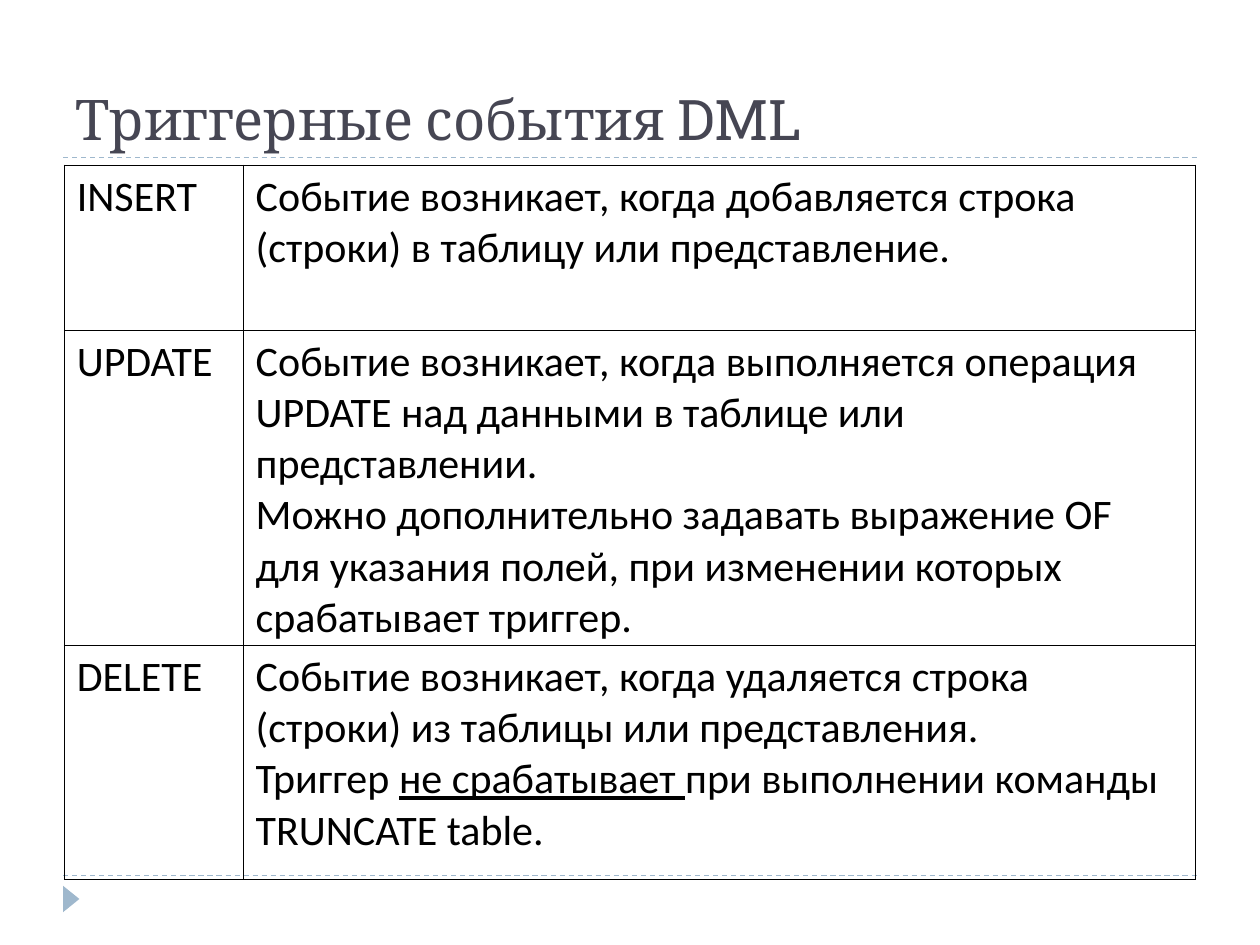
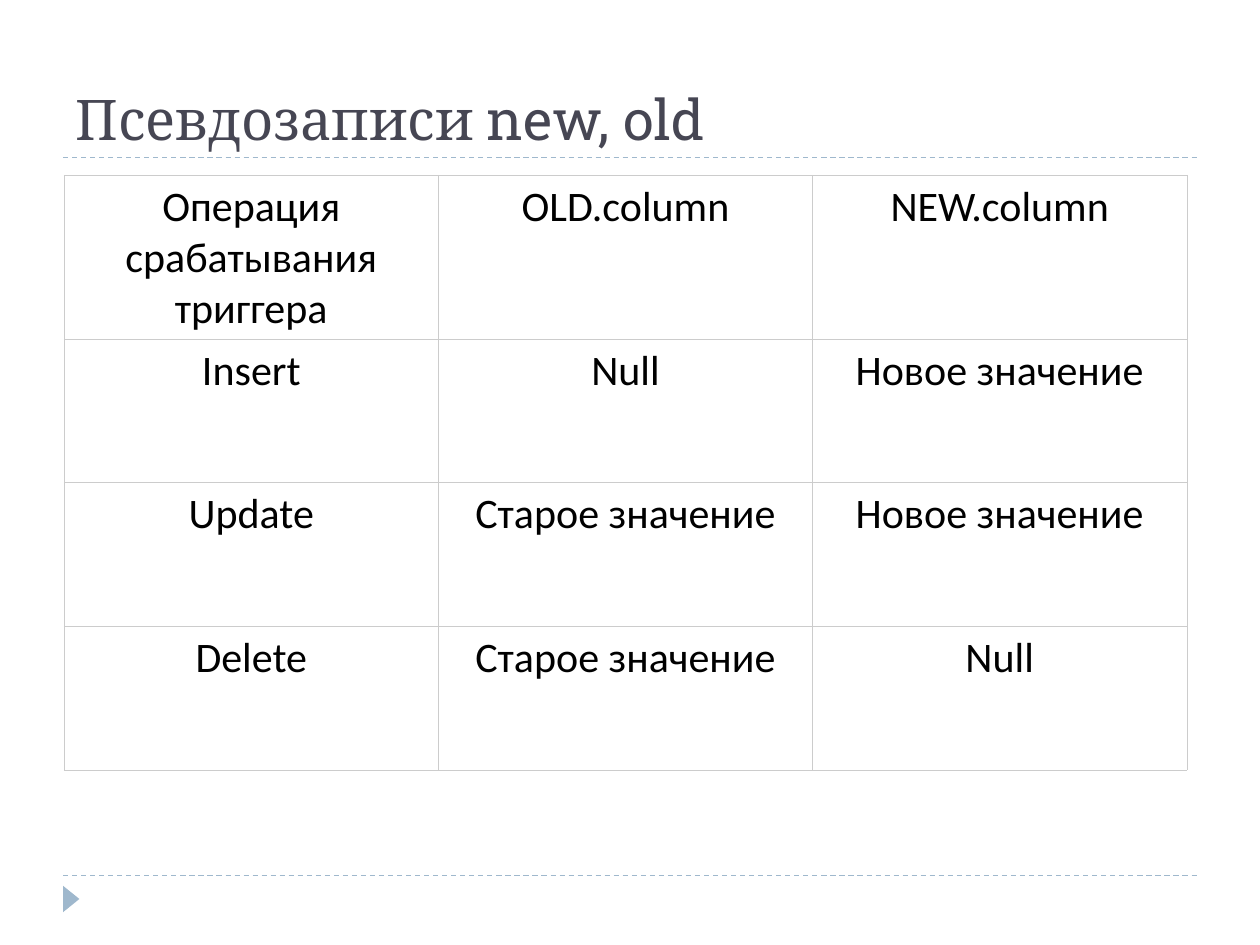
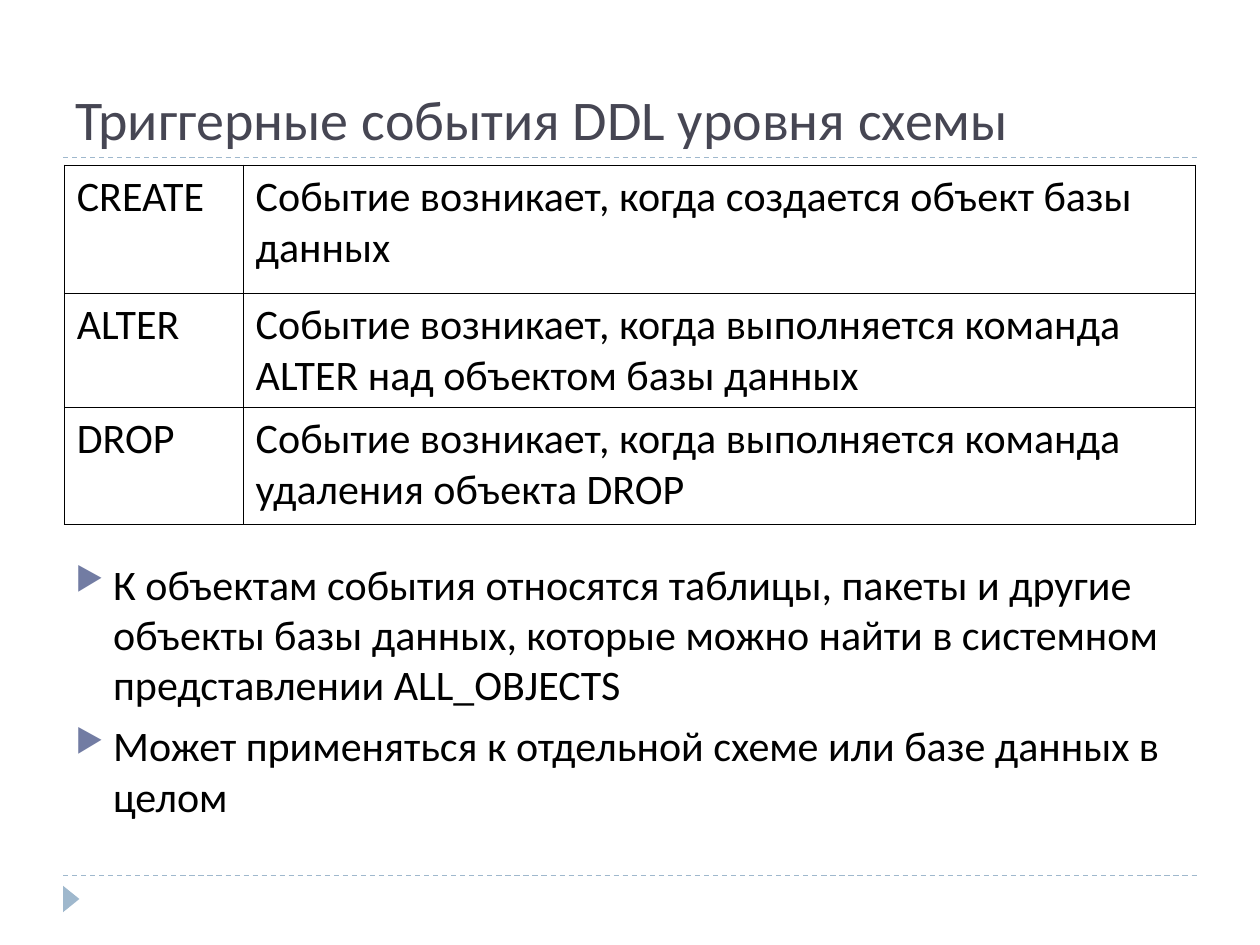
import dataclasses

import lxml.etree
import pptx
import pptx.dml.color
import pptx.enum.dml
import pptx.enum.shapes
import pptx.enum.text
import pptx.oxml.ns
import pptx.util

Inches = pptx.util.Inches
Pt = pptx.util.Pt
Align = pptx.enum.text.PP_ALIGN


@dataclasses.dataclass(frozen=True)
class Theme:
    """Colours, fonts and sizes shared by all slides."""

    title_color: str = "464653"
    text_color: str = "000000"
    accent: str = "9FB8CD"
    bullet_color: str = "727CA3"
    strong_border: str = "000000"
    light_border: str = "CCCCCC"
    cell_fill: str = "FFFFFF"
    title_font: str = "Cambria"
    latin_title_font: str = "Roboto Slab"
    body_font: str = "Calibri"
    title_size: float = 32
    body_size: float = 24
    rule_width: float = 0.75
    strong_width: float = 0.45
    light_width: float = 0.34
    margin: float = 0.5
    content_width: float = 9
    title_bottom: float = 1.25
    footer_top: float = 6.95
    table_left: float = 0.51


THEME = Theme()


def rgb(color):
    """Turn a hex string into a colour."""
    return pptx.dml.color.RGBColor.from_string(color)


def add_xml(parent, tag, **attributes):
    """Append a DrawingML element to its parent."""
    return lxml.etree.SubElement(parent, pptx.oxml.ns.qn(tag), attributes)


def write_paragraph(paragraph, content, font, size, color):
    """Write a string, or (text, font settings) pieces, in one style."""
    paragraph.font.name = font
    paragraph.font.size = Pt(size)
    paragraph.font.color.rgb = rgb(color)
    pieces = [(content, {})] if isinstance(content, str) else content
    for text, settings in pieces:
        run = paragraph.add_run()
        run.text = text
        for name, value in settings.items():
            setattr(run.font, name, value)


def write_body(text_frame, contents):
    """Write body paragraphs into a text frame and return them."""
    for content in contents[1:]:
        text_frame.add_paragraph()
    for paragraph, content in zip(text_frame.paragraphs, contents):
        write_paragraph(paragraph, content, THEME.body_font, THEME.body_size, THEME.text_color)
    return text_frame.paragraphs


def add_text_frame(slide, top, height):
    """Add a wrapping text box across the content width."""
    box = slide.shapes.add_textbox(
        Inches(THEME.margin), Inches(top), Inches(THEME.content_width), Inches(height))
    box.text_frame.word_wrap = True
    return box.text_frame


def add_rule(slide, top):
    """Add a dashed rule across the content width."""
    rule = slide.shapes.add_connector(
        pptx.enum.shapes.MSO_CONNECTOR.STRAIGHT,
        Inches(THEME.margin), Inches(top),
        Inches(THEME.margin + THEME.content_width), Inches(top))
    rule.line.color.rgb = rgb(THEME.accent)
    rule.line.width = Pt(THEME.rule_width)
    rule.line.dash_style = pptx.enum.dml.MSO_LINE.DASH
    add_xml(rule._element.spPr, "a:effectLst")


def add_footer_marker(slide):
    """Add the triangle that points right below the footer rule."""
    marker = slide.shapes.add_shape(
        pptx.enum.shapes.MSO_SHAPE.ISOSCELES_TRIANGLE,
        Inches(0.46), Inches(7.07), Inches(0.21), Inches(0.13))
    marker.rotation = 90
    marker.shadow.inherit = False
    marker.fill.solid()
    marker.fill.fore_color.rgb = rgb(THEME.accent)
    marker.line.fill.background()


def add_titled_slide(presentation, title, title_top=0.6, font=THEME.title_font):
    """Add a slide with its rules, footer marker and title."""
    slide = presentation.slides.add_slide(presentation.slide_layouts[6])
    add_rule(slide, THEME.footer_top)
    add_rule(slide, THEME.title_bottom)
    add_footer_marker(slide)
    frame = add_text_frame(slide, title_top, THEME.title_bottom - title_top)
    frame.vertical_anchor = pptx.enum.text.MSO_ANCHOR.BOTTOM
    write_paragraph(frame.paragraphs[0], title, font, THEME.title_size, THEME.title_color)
    return slide


def set_borders(cell, color, width):
    """Draw all four borders of a cell."""
    properties = cell._tc.get_or_add_tcPr()
    for side in ("a:lnL", "a:lnR", "a:lnT", "a:lnB"):
        line = add_xml(properties, side, w=str(int(Pt(width))))
        add_xml(add_xml(line, "a:solidFill"), "a:srgbClr", val=color)


def add_grid(slide, top, widths, heights, rows, border, alignment=Align.LEFT, fill=None):
    """Add a bordered table whose cells are lists of paragraphs."""
    table = slide.shapes.add_table(
        len(rows), len(widths), Inches(THEME.table_left), Inches(top),
        Inches(sum(widths)), Inches(sum(heights))).table
    table.first_row = False
    table.horz_banding = False
    for column, width in zip(table.columns, widths):
        column.width = Inches(width)
    for row, height, contents in zip(table.rows, heights, rows):
        row.height = Inches(height)
        for cell, paragraphs in zip(row.cells, contents):
            set_borders(cell, *border)
            if fill:
                cell.fill.solid()
                cell.fill.fore_color.rgb = rgb(fill)
            else:
                cell.fill.background()
            for paragraph in write_body(cell.text_frame, paragraphs):
                paragraph.alignment = alignment


def add_event_table(slide, heights, events):
    """Add a table of event names and their descriptions."""
    rows = [([name], description) for name, *description in events]
    add_grid(slide, 1.31, (1.42, 7.56), heights, rows,
             (THEME.strong_border, THEME.strong_width))


def add_bullets(slide, top, height, items):
    """Add a list with triangular bullets."""
    for paragraph in write_body(add_text_frame(slide, top, height), items):
        paragraph.space_before = Pt(6)
        properties = paragraph._p.get_or_add_pPr()
        properties.set("marL", str(Inches(0.3)))
        properties.set("indent", str(-Inches(0.3)))
        bullet = [lxml.etree.Element(pptx.oxml.ns.qn(tag), attributes) for tag, attributes in (
            ("a:buClr", {}), ("a:buSzPct", {"val": "76000"}), ("a:buChar", {"char": "▶"}))]
        add_xml(bullet[0], "a:srgbClr", val=THEME.bullet_color)
        position = properties.index(properties.find(pptx.oxml.ns.qn("a:defRPr")))
        properties[position:position] = bullet


def add_dml_events(presentation):
    """Build the slide on DML trigger events."""
    slide = add_titled_slide(presentation, [
        ("Триггерные события ", {}), ("DML", {"name": THEME.latin_title_font})])
    add_event_table(slide, (1.31, 2.5, 1.86), [
        ("INSERT",
         "Событие возникает, когда добавляется строка (строки) в таблицу или представление."),
        ("UPDATE",
         "Событие возникает, когда выполняется операция UPDATE над данными в таблице или "
         "представлении.",
         "Можно дополнительно задавать выражение OF для указания полей, при изменении которых "
         "срабатывает триггер."),
        ("DELETE",
         "Событие возникает, когда удаляется строка (строки) из таблицы или представления.",
         [("Триггер ", {}), ("не срабатывает ", {"underline": True}),
          ("при выполнении команды TRUNCATE table.", {})]),
    ])


def add_pseudo_records(presentation):
    """Build the slide on the new and old pseudo-records."""
    slide = add_titled_slide(presentation, [
        ("Псевдозаписи ", {}), ("new, old", {"name": THEME.latin_title_font})], title_top=0.17)
    old_value, new_value = "Старое значение", "Новое значение"
    rows = [
        ("Операция срабатывания триггера", "OLD.column", "NEW.column"),
        ("Insert", "Null", new_value),
        ("Update", old_value, new_value),
        ("Delete", old_value, "Null"),
    ]
    add_grid(slide, 1.39, [2.97] * 3, [1.3] + [1.14] * 3,
             [[[text] for text in row] for row in rows],
             (THEME.light_border, THEME.light_width), Align.CENTER, THEME.cell_fill)


def add_ddl_events(presentation):
    """Build the slide on schema-level DDL trigger events."""
    slide = add_titled_slide(
        presentation, "Триггерные события DDL уровня схемы", font=THEME.body_font)
    add_event_table(slide, (1.02, 0.9, 0.93), [
        ("CREATE", "Событие возникает, когда создается объект базы данных"),
        ("ALTER", "Событие возникает, когда выполняется команда ALTER над объектом базы данных"),
        ("DROP", "Событие возникает, когда выполняется команда удаления объекта DROP"),
    ])
    add_bullets(slide, 4.38, 2.28, [
        "К объектам события относятся таблицы, пакеты и другие объекты базы данных, которые "
        "можно найти в системном представлении ALL_OBJECTS",
        "Может применяться к отдельной схеме или базе данных в целом",
    ])


def main():
    """Build and save the presentation."""
    presentation = pptx.Presentation()
    presentation.slide_width = Inches(10)
    presentation.slide_height = Inches(7.5)
    add_dml_events(presentation)
    add_pseudo_records(presentation)
    add_ddl_events(presentation)
    presentation.save("out.pptx")


if __name__ == "__main__":
    main()
